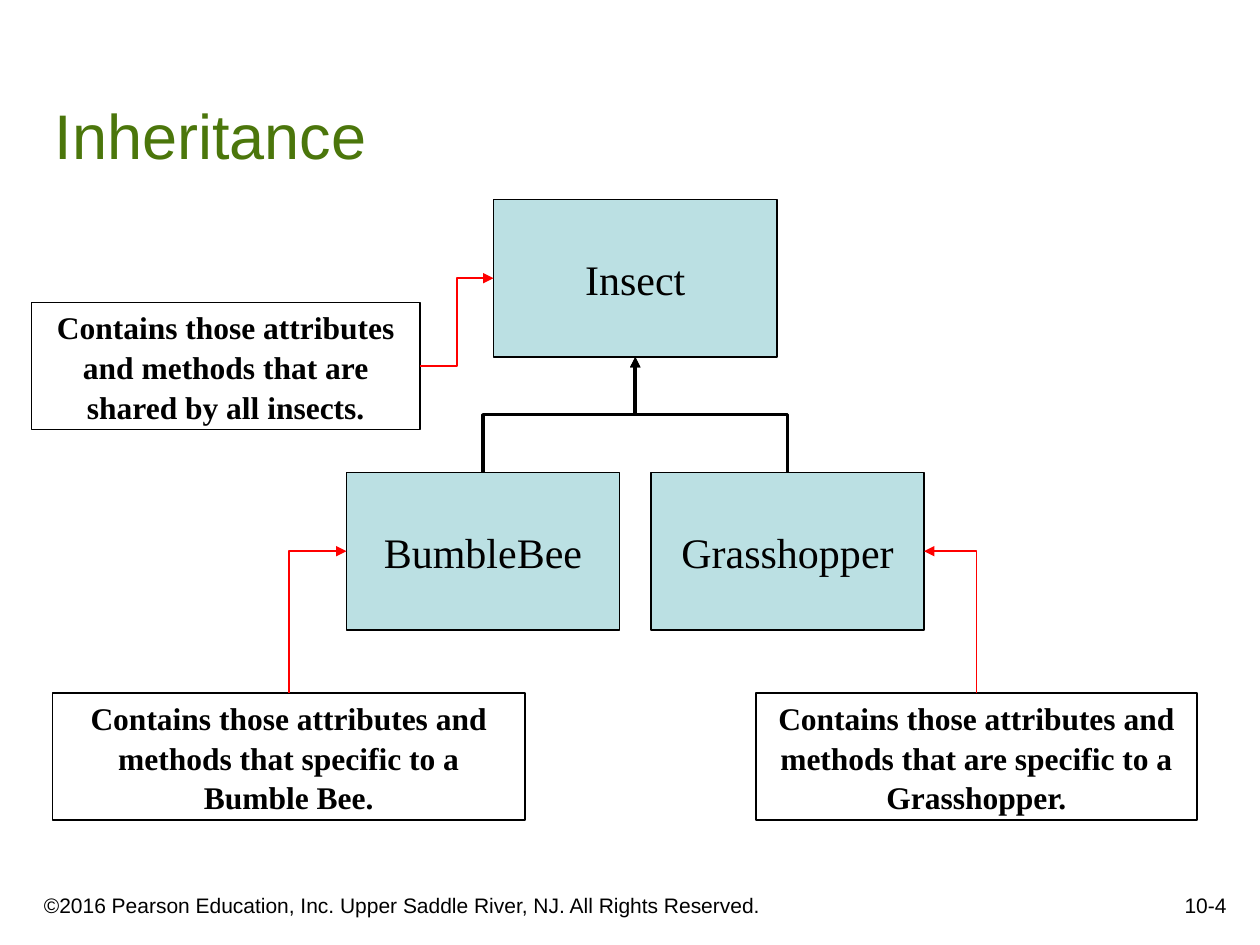
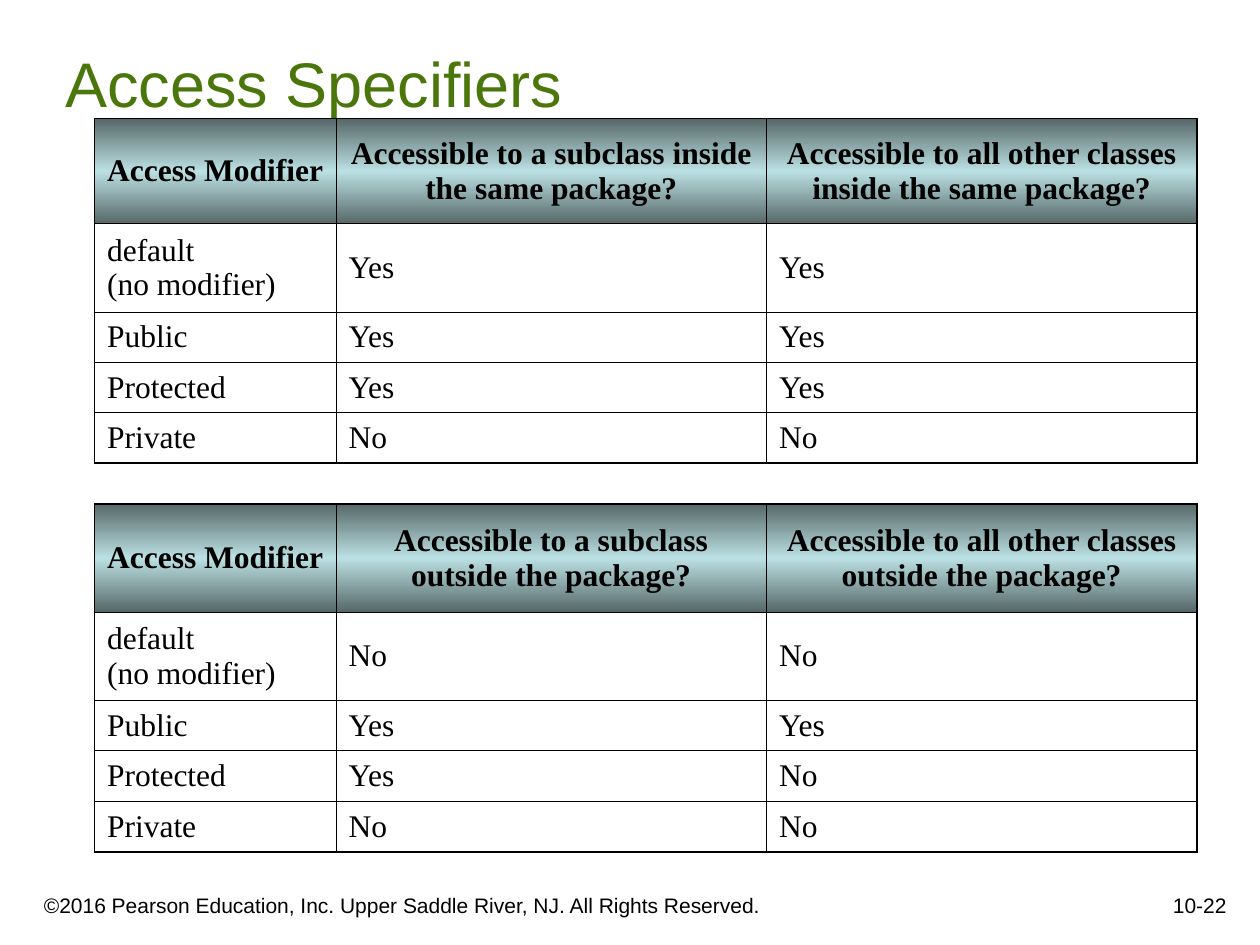
from pptx import Presentation
from pptx.dml.color import RGBColor
from pptx.enum.shapes import MSO_CONNECTOR, MSO_SHAPE
from pptx.enum.text import MSO_ANCHOR, MSO_AUTO_SIZE, PP_ALIGN
from pptx.oxml import parse_xml
from pptx.oxml.ns import nsdecls, qn
from pptx.util import Emu, Pt

PX = 914400 // 120
WIDTH, HEIGHT = 1200, 900
TITLE_ONLY = 5

BLACK = RGBColor(0x00, 0x00, 0x00)
RED = RGBColor(0xFF, 0x00, 0x00)
GREEN = RGBColor(0x4B, 0x76, 0x0B)
PALE_TEAL = RGBColor(0xBB, 0xE0, 0xE3)
DARK_TEAL = RGBColor(0x57, 0x68, 0x69)

SANS, SERIF = "Arial", "Times New Roman"
LEFT, CENTER, RIGHT = PP_ALIGN.LEFT, PP_ALIGN.CENTER, PP_ALIGN.RIGHT
MIDDLE, BOTTOM = MSO_ANCHOR.MIDDLE, MSO_ANCHOR.BOTTOM
NO_AUTOFIT = MSO_AUTO_SIZE.NONE
ELBOW, RECTANGLE = MSO_CONNECTOR.ELBOW, MSO_SHAPE.RECTANGLE
TOP_SIDE, LEFT_SIDE, BOTTOM_SIDE, RIGHT_SIDE = range(4)

COPYRIGHT = "©2016 Pearson Education, Inc. Upper Saddle River, NJ. All Rights Reserved."
OUTER, INNER = Pt(1.08), Pt(0.45)
COLUMNS = (230, 410, 410)
BODY_ROWS = (84, 48, 48, 48)
MODIFIERS = ("default\n(no modifier)", "Public", "Protected", "Private")


def px(*lengths):
    return [Emu(n * PX) for n in lengths]


def write(tf, text, font, size, color=BLACK, align=LEFT, bold=False):
    p = tf.paragraphs[0]
    p.text = text
    p.alignment = align
    for r in p.runs:
        r.font.name = font
        r.font.size = Pt(size)
        r.font.bold = bold
        r.font.color.rgb = color
    return p


def add_footer_text(s, box, text, align):
    tf = s.shapes.add_textbox(*px(*box)).text_frame
    tf.word_wrap = True
    tf.vertical_anchor = BOTTOM
    write(tf, text, SANS, 12, align=align)


def add_slide(prs, title, title_box, number):
    s = prs.slides.add_slide(prs.slide_layouts[TITLE_ONLY])
    add_footer_text(s, (30, 830, 730, 50), COPYRIGHT, LEFT)
    add_footer_text(s, (930, 820, 250, 60), number, RIGHT)
    sp = s.shapes.title
    sp.left, sp.top, sp.width, sp.height = px(*title_box)
    tf = sp.text_frame
    tf.auto_size = NO_AUTOFIT
    tf.vertical_anchor = BOTTOM
    write(tf, title, SANS, 36, GREEN)
    return s


def add_box(s, box):
    sp = s.shapes.add_shape(RECTANGLE, *px(*box))
    sp.shadow.inherit = False
    sp.line.color.rgb = BLACK
    sp.line.width = Pt(0.75)
    sp.text_frame.vertical_anchor = MIDDLE
    return sp


def add_class(s, box, name):
    sp = add_box(s, box)
    sp.fill.solid()
    sp.fill.fore_color.rgb = PALE_TEAL
    sp.text_frame.word_wrap = False
    write(sp.text_frame, name, SERIF, 24, align=CENTER)
    return sp


def add_note(s, box, text):
    sp = add_box(s, box)
    sp.fill.background()
    sp.text_frame.word_wrap = True
    p = write(sp.text_frame, text, SERIF, 18, align=CENTER, bold=True)
    p.line_spacing = 1.05
    return sp


def add_elbow(s, start, start_side, end, end_side, color, width, preset="bentConnector3"):
    c = s.shapes.add_connector(ELBOW, 0, 0, 0, 0)
    c.begin_connect(start, start_side)
    c.end_connect(end, end_side)
    c.line.color.rgb = color
    c.line.width = Pt(width)
    spPr = c._element.spPr
    spPr.find(qn("a:prstGeom")).set("prst", preset)
    spPr.find(qn("a:ln")).append(parse_xml(f'<a:tailEnd {nsdecls("a")} type="triangle"/>'))
    spPr.append(parse_xml(f'<a:effectLst {nsdecls("a")}/>'))
    if start_side == TOP_SIDE:
        turn_upward(c)


def turn_upward(c):
    rightward = c.end_x > c.begin_x
    center_x, center_y = c.left + c.width // 2, c.top + c.height // 2
    c.width, c.height = c.height, c.width
    c.left, c.top = center_x - c.width // 2, center_y - c.height // 2
    xfrm = c._element.spPr.find(qn("a:xfrm"))
    xfrm.set("rot", str((90 if rightward else 270) * 60000))
    xfrm.set("flipH", "1" if rightward else "0")
    xfrm.set("flipV", "1")


def set_borders(cell, **widths):
    tcPr = cell._tc.get_or_add_tcPr()
    for side in "LRTB":
        tcPr.append(parse_xml(
            f'<a:ln{side} {nsdecls("a")} w="{widths[side]}"><a:solidFill>'
            f'<a:srgbClr val="{BLACK}"/></a:solidFill></a:ln{side}>'))


def fill_header(cell):
    stops = "".join(
        f'<a:gs pos="{pos}"><a:srgbClr val="{color}"/></a:gs>'
        for pos, color in ((0, DARK_TEAL), (50000, PALE_TEAL), (100000, DARK_TEAL)))
    cell._tc.get_or_add_tcPr().append(parse_xml(
        f'<a:gradFill {nsdecls("a")} rotWithShape="0"><a:gsLst>{stops}</a:gsLst>'
        f'<a:lin ang="5400000" scaled="1"/></a:gradFill>'))


def add_access_table(s, left, top, header_height, questions, answers):
    rows = [("Access Modifier", *questions)]
    rows += [(modifier, *row) for modifier, row in zip(MODIFIERS, answers)]
    heights = (header_height, *BODY_ROWS)
    box = px(left, top, sum(COLUMNS), sum(heights))
    table = s.shapes.add_table(len(rows), len(COLUMNS), *box).table
    table.first_row = table.horz_banding = False
    for column, width in zip(table.columns, px(*COLUMNS)):
        column.width = width
    for row, height in zip(table.rows, px(*heights)):
        row.height = height
    last_row, last_column = len(rows) - 1, len(COLUMNS) - 1
    for i, row in enumerate(rows):
        for j, text in enumerate(row):
            cell = table.cell(i, j)
            header = i == 0
            cell.vertical_anchor = MIDDLE
            write(cell.text_frame, text, SERIF, 18,
                  align=CENTER if header else LEFT, bold=header)
            set_borders(cell,
                        L=OUTER if j == 0 else INNER,
                        R=OUTER if j == last_column else INNER,
                        T=OUTER if header else INNER,
                        B=OUTER if i == last_row else INNER)
            if header:
                fill_header(cell)
            else:
                cell.fill.background()


def build_inheritance(prs):
    s = add_slide(prs, "Inheritance", (40, 40, 1130, 130), "10-4")
    insect = add_class(s, (470, 190, 270, 150), "Insect")
    bee, grasshopper = [
        add_class(s, (330 + 290 * i, 450, 260, 150), name)
        for i, name in enumerate(("BumbleBee", "Grasshopper"))]
    for subclass in (bee, grasshopper):
        add_elbow(s, subclass, TOP_SIDE, insect, BOTTOM_SIDE, BLACK, 2)

    shared = add_note(s, (30, 288, 370, 121),
                      "Contains those attributes and methods that are shared by all insects.")
    add_elbow(s, shared, RIGHT_SIDE, insect, LEFT_SIDE, RED, 1)

    subclass_notes = (
        (50, 450, bee, LEFT_SIDE,
         "Contains those attributes and methods that specific to a Bumble Bee."),
        (720, 420, grasshopper, RIGHT_SIDE,
         "Contains those attributes and methods that are specific to a Grasshopper."))
    for left, width, subclass, side, text in subclass_notes:
        note = add_note(s, (left, 660, width, 121), text)
        add_elbow(s, note, TOP_SIDE, subclass, side, RED, 1, "bentConnector2")


def build_access_specifiers(prs):
    s = add_slide(prs, "Access Specifiers", (50, 30, 1020, 90), "10-22")
    add_access_table(
        s, 90, 113, 100,
        ("Accessible to a subclass inside the same package?",
         "Accessible to all other classes inside the same package?"),
        (("Yes", "Yes"), ("Yes", "Yes"), ("Yes", "Yes"), ("No", "No")))
    add_access_table(
        s, 90, 480, 103,
        ("Accessible to a subclass outside the package?",
         "Accessible to all other classes outside the package?"),
        (("No", "No"), ("Yes", "Yes"), ("Yes", "No"), ("No", "No")))


def main():
    prs = Presentation()
    prs.slide_width, prs.slide_height = px(WIDTH, HEIGHT)
    build_inheritance(prs)
    build_access_specifiers(prs)
    prs.save("out.pptx")


if __name__ == "__main__":
    main()
